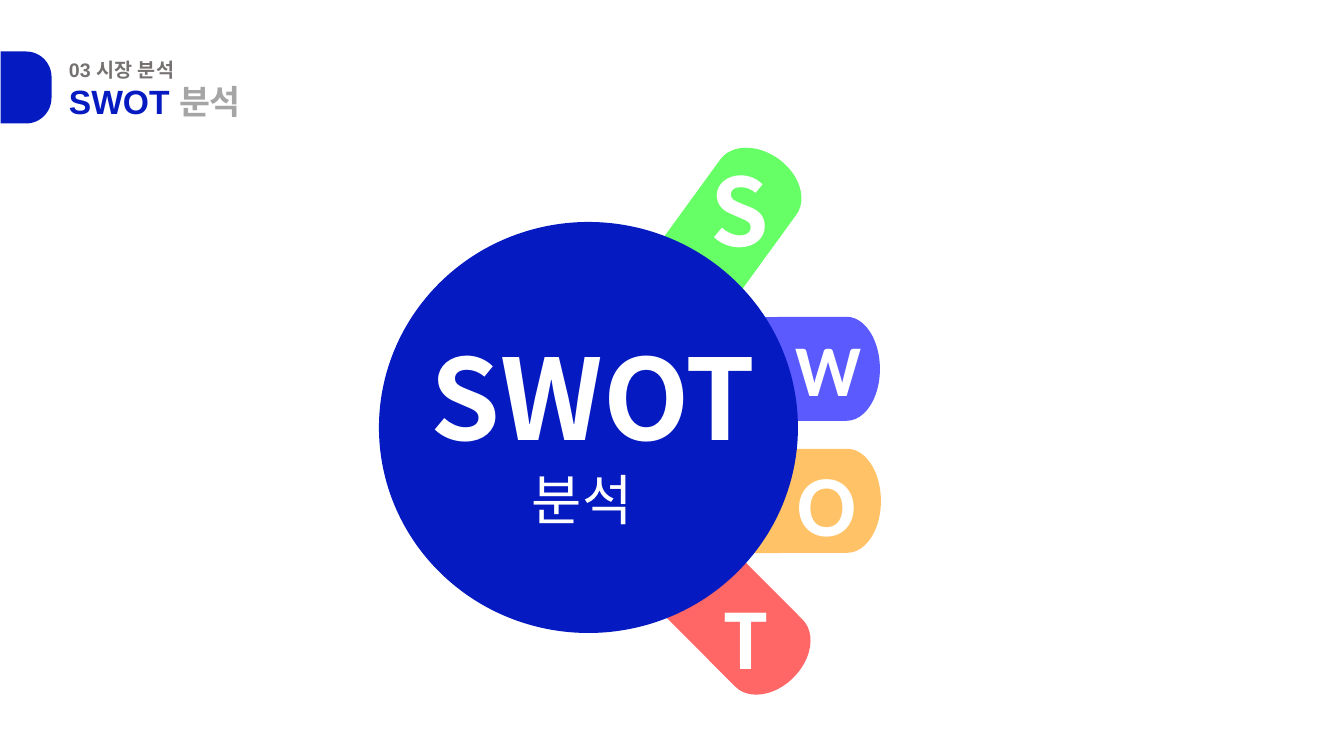
from pptx import Presentation
from pptx.dml.color import RGBColor
from pptx.enum.shapes import MSO_SHAPE
from pptx.enum.text import MSO_AUTO_SIZE
from pptx.oxml.ns import qn
from pptx.util import Pt

PILL = MSO_SHAPE.FLOWCHART_TERMINATOR
DISC = MSO_SHAPE.OVAL
TAB = MSO_SHAPE.ROUND_2_SAME_RECTANGLE
GROW = MSO_AUTO_SIZE.SHAPE_TO_FIT_TEXT
PX = 914400 / 100.8
NOTO, SANS, ROUND = "Noto Sans CJK KR", "Arial", "Calibri"
BLUE, WHITE = "051BC1", "FFFFFF"


def px(*nums):
    return [round(n * PX) for n in nums]


def color(code):
    return RGBColor.from_string(code)


def block(slide, kind, box, fill, turn=0):
    shape = slide.shapes.add_shape(kind, *px(*box))
    shape.shadow.inherit = False
    shape.fill.solid()
    shape.fill.fore_color.rgb = color(fill)
    shape.line.fill.background()
    shape.rotation = turn
    return shape


def text(slide, box, *runs, size, font, bold=True):
    """Each run is a pair of words and colour."""
    area = slide.shapes.add_textbox(*px(*box))
    frame = area.text_frame
    frame.word_wrap = True
    frame.auto_size = GROW
    for words, tint in runs:
        run = frame.paragraphs[0].add_run()
        run.text = words
        style = run.font
        style.size, style.bold, style.name = Pt(size), bold, font
        style.color.rgb = color(tint)
        east = style._element.makeelement(qn("a:ea"), {"typeface": font})
        style._element.find(qn("a:latin")).addnext(east)


def header(slide, x, y):
    tab = block(slide, TAB, (x - 10, y + 10, 72, 51), BLUE, 90)
    tab.adjustments[0] = 0.5
    text(slide, (x + 59, y + 24, 437, 50), ("SWOT ", BLUE), ("분석", "A5A5A5"),
         size=24, font=SANS)
    text(slide, (x + 59, y + 1, 437, 34), ("03 시장 분석", "767171"),
         size=14, font=SANS)


def wheel(slide, x, y):
    pills = [
        ((231, 406, 215, 95), "FF6666", 45.1),
        ((293, 301, 209, 104), "FFC267", 359.8),
        ((294, 169, 207, 104), "5A5AFF", 359.8),
        ((229, 51, 215, 94), "66FF66", 306),
    ]
    for (left, top, wide, high), fill, turn in pills:
        block(slide, PILL, (x + left, y + top, wide, high), fill, turn)
    block(slide, DISC, (x, y + 74, 419, 411), BLUE)
    text(slide, (x + 42, y + 176, 377, 146), ("SWOT", WHITE), size=80, font=NOTO)
    text(slide, (x + 143, y + 313, 181, 77), ("분석", WHITE),
         size=39, font=NOTO, bold=False)
    marks = [
        ("S", 322, 0, 122, 67, NOTO),
        ("W", 407, 171, 97, 52, ROUND),
        ("O", 409, 297, 114, 62, ROUND),
        ("T", 336, 430, 114, 62, ROUND),
    ]
    for mark, left, top, high, size, font in marks:
        text(slide, (x + left, y + top, 62, high), (mark, WHITE),
             size=size, font=font)


def main():
    deck = Presentation()
    deck.slide_width, deck.slide_height = px(1344, 756)
    slide = deck.slides.add_slide(deck.slide_layouts[6])
    wheel(slide, 379, 148)
    header(slide, 0, 52)
    deck.save("out.pptx")


if __name__ == "__main__":
    main()
